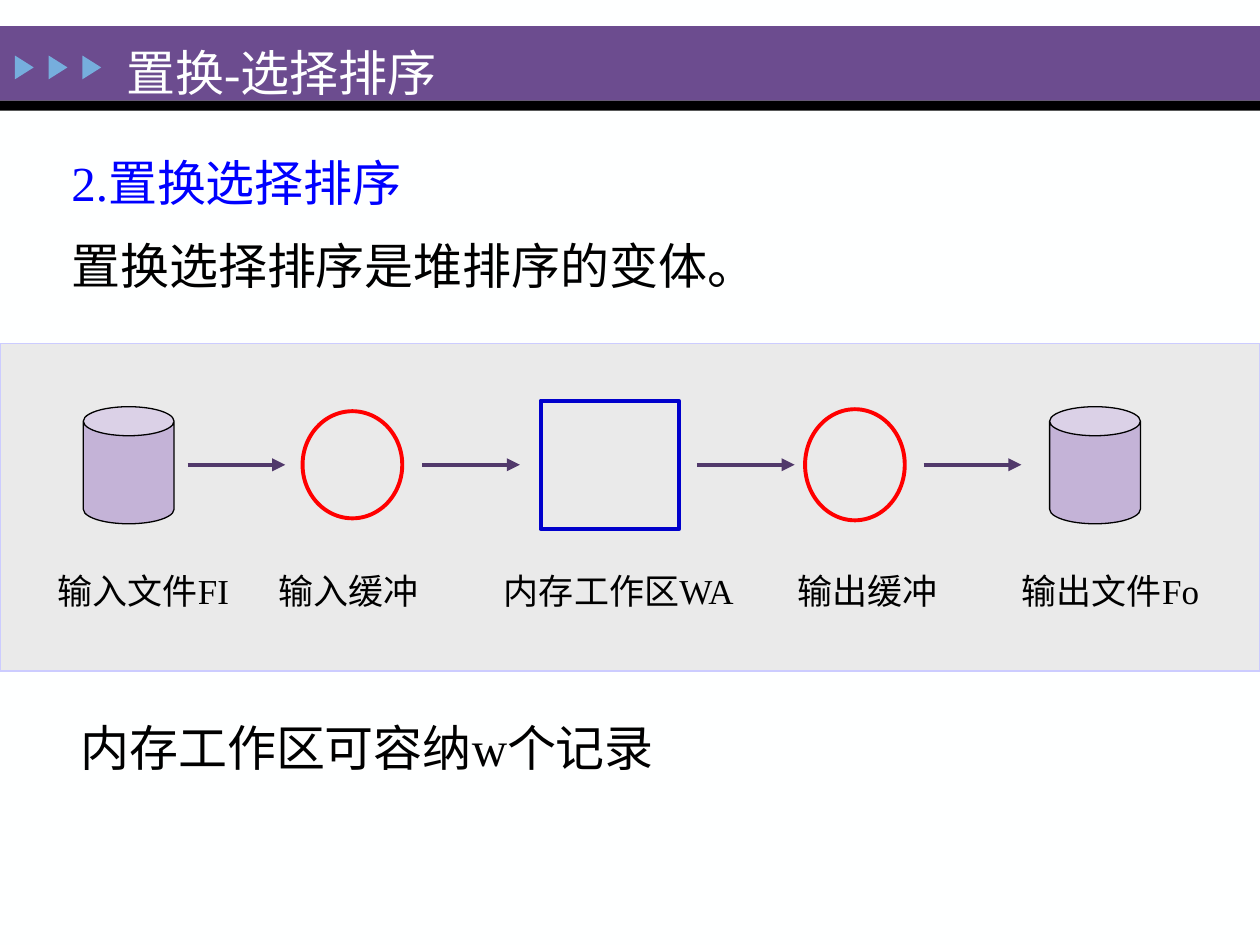
from dataclasses import dataclass
from typing import Optional

from lxml.etree import SubElement
from pptx import Presentation
from pptx.dml.color import RGBColor
from pptx.enum.shapes import MSO_CONNECTOR, MSO_SHAPE
from pptx.enum.text import MSO_ANCHOR, MSO_AUTO_SIZE, PP_ALIGN
from pptx.oxml.ns import qn
from pptx.util import Cm, Pt

WHITE, BLACK, BLUE, RED = "FEFFFF", "000000", "0000FF", "FF0000"
PURPLE, ARROW_PURPLE, LILAC = "6C4C8F", "51396B", "C4B3D7"
FLOW_MIDDLE, ARROW_LENGTH = 9.37, 1.97
LABEL_TOP, LABEL_HEIGHT = 11.35, 1.12


@dataclass
class Box:
    """Place of an element, in centimetres."""
    left: float
    top: float
    width: float
    height: float

    def lengths(self) -> tuple:
        return Cm(self.left), Cm(self.top), Cm(self.width), Cm(self.height)


@dataclass
class Figure:
    kind: MSO_SHAPE
    box: Box
    fill: Optional[str] = None
    line: Optional[str] = None
    line_width: float = 0.75
    adjustment: Optional[float] = None
    rotation: float = 0


@dataclass
class Line:
    text: str
    size: float = 28
    color: str = BLACK


@dataclass
class Label:
    text: str
    left: float
    width: float


def color_of(hex_color: str) -> RGBColor:
    return RGBColor.from_string(hex_color)


def set_attributes(target, values: dict) -> None:
    for name, value in values.items():
        setattr(target, name, value)


def draw_figure(shapes, figure: Figure) -> None:
    shape = shapes.add_shape(figure.kind, *figure.box.lengths())
    set_attributes(shape, {"rotation": figure.rotation})
    shape.shadow.inherit = False
    if figure.fill:
        shape.fill.solid()
        shape.fill.fore_color.rgb = color_of(figure.fill)
    else:
        shape.fill.background()
    if figure.line:
        shape.line.color.rgb = color_of(figure.line)
        shape.line.width = Pt(figure.line_width)
    else:
        shape.line.fill.background()
    if figure.adjustment is not None:
        shape.adjustments[0] = figure.adjustment


def draw_arrow(shapes, left: float) -> None:
    arrow = shapes.add_connector(
        MSO_CONNECTOR.STRAIGHT, Cm(left), Cm(FLOW_MIDDLE),
        Cm(left + ARROW_LENGTH), Cm(FLOW_MIDDLE))
    arrow.line.color.rgb = color_of(ARROW_PURPLE)
    arrow.line.width = Pt(2.5)
    SubElement(arrow.line._get_or_add_ln(), qn("a:tailEnd"), type="triangle")
    SubElement(arrow._element.spPr, qn("a:effectLst"))


def write_lines(frame, lines: list[Line], line_spacing: float = 1.0) -> None:
    set_attributes(frame, {
        "word_wrap": True,
        "auto_size": MSO_AUTO_SIZE.NONE,
        "vertical_anchor": MSO_ANCHOR.TOP,
    })
    for index, line in enumerate(lines):
        paragraph = frame.add_paragraph() if index else frame.paragraphs[0]
        paragraph.text = line.text
        set_attributes(paragraph, {
            "alignment": PP_ALIGN.LEFT,
            "line_spacing": line_spacing,
            "space_before": Pt(line.size / 2 if index else 0),
        })
        set_attributes(paragraph.runs[0].font,
                       {"name": "Times New Roman", "size": Pt(line.size)})
        paragraph.runs[0].font.color.rgb = color_of(line.color)


def draw_text(shapes, box: Box, lines: list[Line]) -> None:
    write_lines(shapes.add_textbox(*box.lengths()).text_frame, lines)


def draw_title(slide, text: str) -> None:
    title = slide.shapes.title
    left, top, width, height = Box(2.29, 0.43, 13.49, 1.47).lengths()
    set_attributes(title, {"left": left, "top": top,
                           "width": width, "height": height})
    write_lines(title.text_frame, [Line(text, color=WHITE)], line_spacing=1.25)
    # Bring the title in front of the band
    title._element.getparent().append(title._element)


def main() -> None:
    presentation = Presentation()
    presentation.slide_width, presentation.slide_height = Cm(25.4), Cm(19.05)
    slide = presentation.slides.add_slide(presentation.slide_layouts[5])
    shapes = slide.shapes
    slide.background.fill.solid()
    slide.background.fill.fore_color.rgb = color_of(WHITE)

    # Header bands and triangles
    draw_figure(shapes, Figure(MSO_SHAPE.RECTANGLE, Box(0, 0.53, 25.4, 1.5), PURPLE))
    draw_figure(shapes, Figure(MSO_SHAPE.RECTANGLE, Box(0, 2.03, 25.4, 0.2), BLACK))
    triangles = shapes.add_group_shape()
    for index in range(3):
        draw_figure(triangles.shapes, Figure(
            MSO_SHAPE.ISOSCELES_TRIANGLE,
            Box(0.25 + 0.68 * index, 1.17, 0.48, 0.38), "76AEDD", rotation=90))
    draw_title(slide, "置换-选择排序")

    # Introduction
    draw_text(shapes, Box(1.19, 2.95, 21.79, 3.25), [
        Line("2.置换选择排序", color=BLUE),
        Line("置换选择排序是堆排序的变体。"),
    ])

    # Flow from input file to output file
    draw_figure(shapes, Figure(MSO_SHAPE.RECTANGLE, Box(0, 6.93, 25.4, 6.6),
                               "EAEAEA", "CCCCFF"))
    for left in (1.68, 21.16):
        draw_figure(shapes, Figure(MSO_SHAPE.CAN, Box(left, 8.2, 1.83, 2.36),
                                   LILAC, BLACK, adjustment=0.32))
    for left, height in ((6.1, 2.16), (16.23, 2.24)):
        draw_figure(shapes, Figure(
            MSO_SHAPE.OVAL, Box(left, FLOW_MIDDLE - height / 2, 2.01, height),
            line=RED, line_width=2.25))
    draw_figure(shapes, Figure(MSO_SHAPE.RECTANGLE, Box(10.9, 8.08, 2.79, 2.59),
                               line="0000CC", line_width=2.25))
    for left in (3.78, 8.51, 14.05, 18.62):
        draw_arrow(shapes, left)

    # Labels under the flow
    labels = [
        Label("输入文件FI", 0.91, 4.11),
        Label("输入缓冲", 5.36, 4.11),
        Label("内存工作区WA", 9.91, 5.97),
        Label("输出缓冲", 15.82, 4.11),
        Label("输出文件Fo", 20.35, 4.37),
    ]
    for label in labels:
        draw_text(shapes, Box(label.left, LABEL_TOP, label.width, LABEL_HEIGHT),
                  [Line(label.text, size=20)])

    # Closing remark
    draw_text(shapes, Box(1.37, 14.33, 21.79, 1.45),
              [Line("内存工作区可容纳w个记录")])

    presentation.save("out.pptx")


if __name__ == "__main__":
    main()
